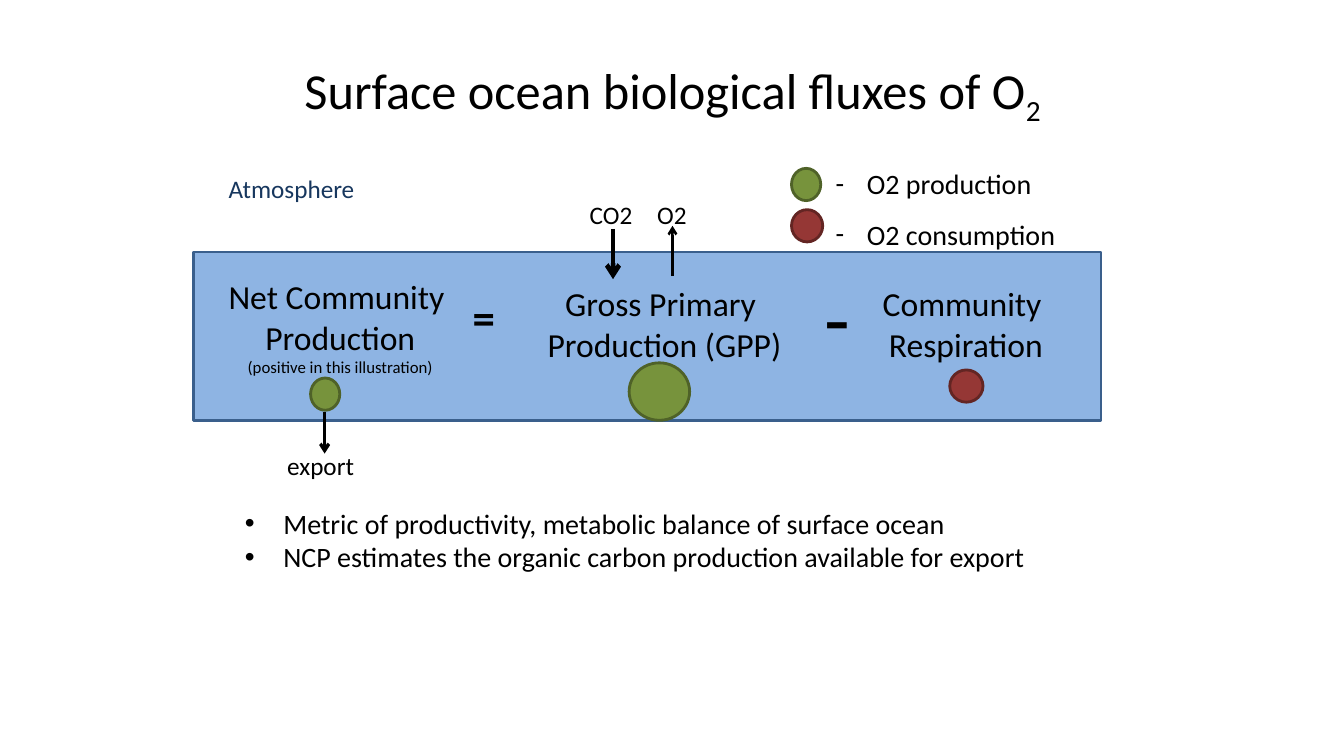
from lxml import etree
from pptx import Presentation
from pptx.dml.color import RGBColor
from pptx.enum.shapes import MSO_CONNECTOR, MSO_SHAPE
from pptx.enum.text import MSO_ANCHOR, MSO_AUTO_SIZE, PP_ALIGN
from pptx.oxml.ns import qn
from pptx.util import Inches, Pt

RECT, OVAL = MSO_SHAPE.RECTANGLE, MSO_SHAPE.OVAL
STRAIGHT = MSO_CONNECTOR.STRAIGHT
TOP, MIDDLE = MSO_ANCHOR.TOP, MSO_ANCHOR.MIDDLE
LEFT, CENTER = PP_ALIGN.LEFT, PP_ALIGN.CENTER
FIXED = MSO_AUTO_SIZE.NONE

BLACK = RGBColor(0x00, 0x00, 0x00)
NAVY = RGBColor(0x17, 0x37, 0x5E)
SEA = RGBColor(0x8E, 0xB4, 0xE3)
EDGE = RGBColor(0x3A, 0x5F, 0x8C)
GREEN = RGBColor(0x77, 0x93, 0x3C)
MOSS = RGBColor(0x4F, 0x62, 0x28)
RED = RGBColor(0x95, 0x37, 0x35)
MAROON = RGBColor(0x63, 0x25, 0x23)

TITLE = ("Surface ocean biological fluxes of O", "2")
POINTS = [
    "Metric of productivity, metabolic balance of surface ocean",
    "NCP estimates the organic carbon production available for export",
]
LEGEND = ["O2 production", "O2 consumption"]
OCEAN = (1.92, 2.5, 9, 1.67)
TERMS = [
    ((2, 2.69, 2.75, 1.11),
     ["Net Community ", "Production", "(positive in this illustration)"],
     {"sizes": (24, 24, 12), "align": CENTER}),
    ((8.33, 2.76, 2.5, 0.91), ["Community ", "Respiration"],
     {"sizes": (24, 24), "align": CENTER}),
    ((5.33, 2.76, 2.52, 0.91), ["Gross Primary ", "Production (GPP)"],
     {"sizes": (24, 24), "align": CENTER, "wrap": False}),
    ((8.08, 2.58, 0.58, 1.11), ["-"], {"sizes": (60,)}),
    ((4.59, 2.83, 0.66, 0.64), ["="], {"sizes": (32,), "bold": True}),
]
DOTS = [
    ((6.24, 3.6, 0.6, 0.57), GREEN, MOSS),
    ((3.08, 3.75, 0.29, 0.32), GREEN, MOSS),
    ((9.42, 3.67, 0.33, 0.32), RED, MAROON),
    ((7.85, 1.67, 0.29, 0.32), GREEN, MOSS),
    ((7.85, 2.08, 0.31, 0.32), RED, MAROON),
]
ARROWS = [
    (6.67, 2.74, 2.24, 1.75),
    (6.08, 2.27, 2.77, 3.25),
    (3.22, 4.09, 4.5, 2.25),
]
LABELS = [
    ((5.75, 1.93, 1.08, 0.4), "CO2", BLACK),
    ((6.42, 1.93, 1.08, 0.4), "O2", BLACK),
    ((2.75, 4.42, 1.08, 0.42), "export", BLACK),
    ((2.17, 1.67, 2, 0.4), "Atmosphere", NAVY),
]


def place(shape, box):
    for name, value in zip(("left", "top", "width", "height"), box):
        setattr(shape, name, Inches(value))


def style(run, size, color=BLACK, bold=False):
    look = {"name": "Calibri", "size": Pt(size), "bold": bold}
    for name, value in look.items():
        setattr(run.font, name, value)
    run.font.color.rgb = color


def mark(par, sign, indent):
    props = par._p.get_or_add_pPr()
    props.set("marL", str(Inches(indent)))
    props.set("indent", str(-Inches(indent)))
    face = etree.SubElement(props, qn("a:buFont"))
    face.set("typeface", "Arial" if sign == "•" else "Calibri")
    etree.SubElement(props, qn("a:buChar")).set("char", sign)


def write(shape, lines, sizes, align=LEFT, color=BLACK, bold=False,
          wrap=True, bullet=None, space=1.0):
    frame = shape.text_frame
    setup = {"word_wrap": wrap, "auto_size": FIXED, "vertical_anchor": TOP}
    for name, value in setup.items():
        setattr(frame, name, value)
    for i, (line, size) in enumerate(zip(lines, sizes)):
        par = frame.paragraphs[0] if i == 0 else frame.add_paragraph()
        flow = {"alignment": align, "line_spacing": space,
                "space_before": Pt(0), "space_after": Pt(0)}
        for name, value in flow.items():
            setattr(par, name, value)
        if bullet:
            mark(par, *bullet)
        run = par.add_run()
        run.text = line
        style(run, size, color, bold)


def draw(slide, kind, box, fill, edge=None):
    shape = slide.shapes.add_shape(kind, *map(Inches, box))
    shape.shadow.inherit = False
    shape.fill.solid()
    shape.fill.fore_color.rgb = fill
    if edge is None:
        shape.line.fill.background()
    else:
        shape.line.color.rgb = edge
        shape.line.width = Pt(2)
    return shape


def label(slide, box, lines, size, **look):
    area = slide.shapes.add_textbox(*map(Inches, box))
    write(area, lines, [size] * len(lines), **look)


def arrow(slide, x, start, end, width):
    line = slide.shapes.add_connector(
        STRAIGHT, *map(Inches, (x, start, x, end)))
    line.line.color.rgb = BLACK
    line.line.width = Pt(width)
    tail = etree.SubElement(line.line._get_or_add_ln(), qn("a:tailEnd"))
    tail.set("type", "arrow")
    etree.SubElement(line._element.spPr, qn("a:effectLst"))


def main():
    deck = Presentation()
    deck.slide_width, deck.slide_height = Inches(13.33), Inches(7.5)
    slide = deck.slides.add_slide(deck.slide_layouts[1])

    title, body = slide.placeholders
    place(title, (0.67, 0.3, 12, 1.25))
    write(title, TITLE[:1], [36], align=CENTER)
    title.text_frame.vertical_anchor = MIDDLE
    sub = title.text_frame.paragraphs[0].add_run()
    sub.text = TITLE[1]
    style(sub, 36)
    sub.font._element.set("baseline", "-25000")

    place(body, (2.33, 4.97, 8.08, 0.77))
    write(body, POINTS, (20, 20), bullet=("•", 0.38))

    draw(slide, RECT, OCEAN, SEA, EDGE)
    for box, lines, look in TERMS:
        write(draw(slide, RECT, box, SEA), lines, **look)
    for box, fill, edge in DOTS:
        draw(slide, OVAL, box, fill, edge)
    label(slide, (8.19, 1.44, 2.67, 1.11), LEGEND, 20,
          bullet=("-", 0.31), space=1.5)
    for item in ARROWS:
        arrow(slide, *item)
    for box, text, color in LABELS:
        label(slide, box, [text], 18, color=color)

    deck.save("out.pptx")


if __name__ == "__main__":
    main()
